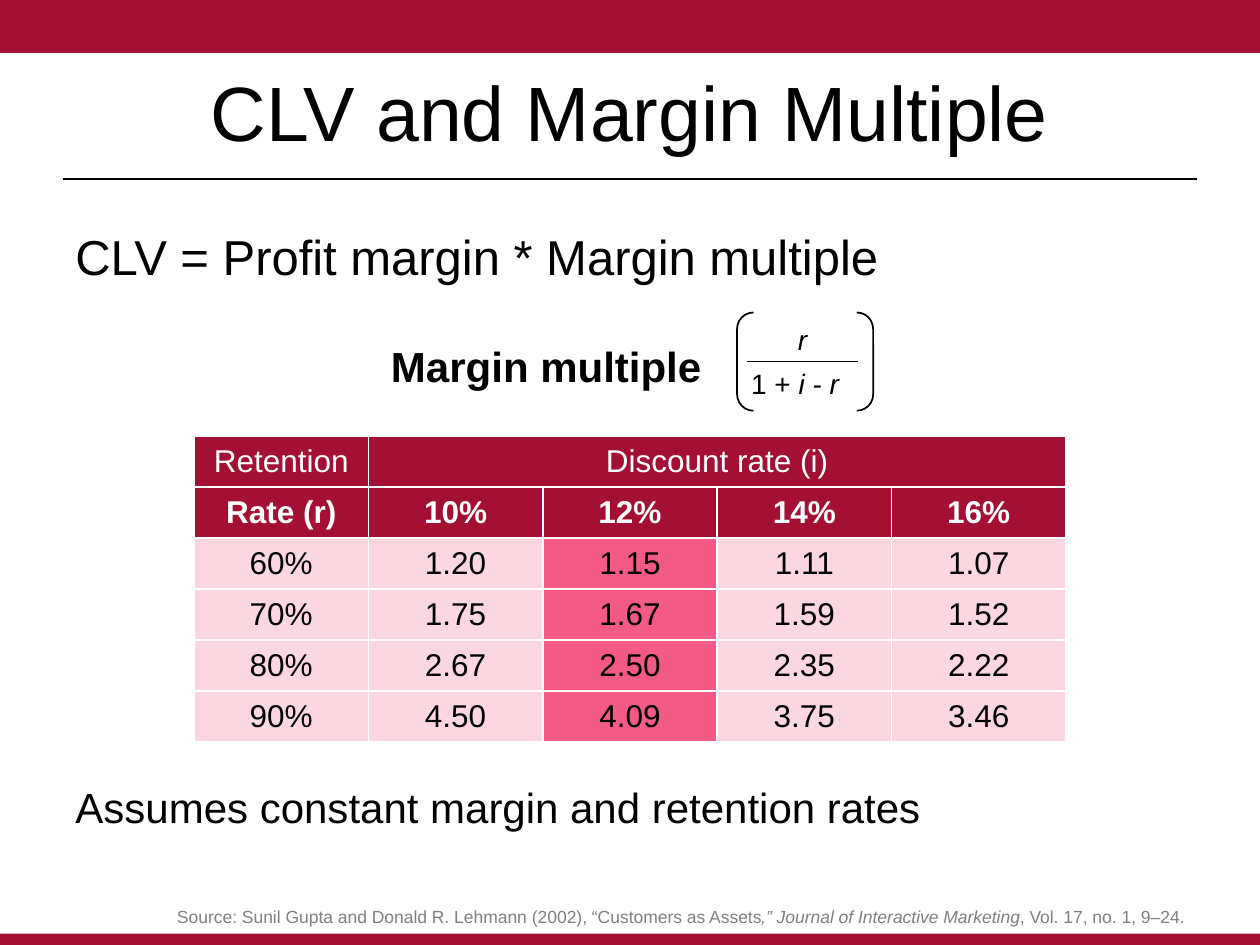
"""Builds the slide on customer lifetime value and its margin multiple."""
from lxml.etree import SubElement
from pptx import Presentation
from pptx.dml.color import RGBColor
from pptx.enum.shapes import MSO_CONNECTOR, MSO_SHAPE
from pptx.enum.text import MSO_ANCHOR as Anchor, PP_ALIGN as Align
from pptx.oxml.ns import qn
from pptx.util import Inches, Pt

CRIMSON, PALE, PINK = "A41034", "FCD7E2", "F35B86"
BLACK, WHITE, GRAY = "000000", "FFFFFF", "808080"
COLUMNS, ROWS = 100, 75

deck = Presentation()
deck.slide_width, deck.slide_height = Inches(10), Inches(7.5)
slide = deck.slides.add_slide(deck.slide_layouts[6])
shapes = slide.shapes


def grid(x, y, *size):
    """Turns pairs of grid columns and rows into lengths on the slide."""
    steps = (deck.slide_width / COLUMNS, deck.slide_height / ROWS)
    return [round(value * steps[i % 2]) for i, value in enumerate((x, y, *size))]


def write(paragraph, text, size=18, color=BLACK, bold=False, italic=False, align=Align.LEFT):
    """Adds one formatted run to a paragraph."""
    paragraph.alignment = align
    run = paragraph.add_run()
    run.text = text
    run.font.name, run.font.size = "Arial", Pt(size)
    run.font.bold, run.font.italic = bold, italic
    run.font.color.rgb = RGBColor.from_string(color)


for top, height in ((0, 4.2), (74.1, 0.9)):
    band = shapes.add_shape(MSO_SHAPE.RECTANGLE, *grid(0, top, COLUMNS, height))
    band.shadow.inherit = False
    band.fill.solid()
    band.fill.fore_color.rgb = RGBColor.from_string(CRIMSON)
    band.line.fill.background()

for left, right, level, weight in ((5, 95, 14.2, 1.25), (59.3, 68.1, 28.7, 1)):
    rule = shapes.add_connector(MSO_CONNECTOR.STRAIGHT, *grid(left, level, right, level))
    rule.line.color.rgb = RGBColor.from_string(BLACK)
    rule.line.width = Pt(weight)
    SubElement(rule.element.spPr, qn("a:effectLst"))

brackets = shapes.add_shape(MSO_SHAPE.DOUBLE_BRACKET, *grid(58.5, 24.8, 10.8, 7.8))
brackets.shadow.inherit = False
brackets.fill.background()
brackets.line.color.rgb = RGBColor.from_string(BLACK)
brackets.line.width = Pt(1)

citation = dict(size=10, color=GRAY, align=Align.RIGHT)
texts = [
    ((5, 2.5, 90, 12.5), Anchor.MIDDLE,
     [("CLV and Margin Multiple", dict(size=44, align=Align.CENTER))]),
    ((5, 17.5, 90, 6), Anchor.TOP,
     [("CLV = Profit margin * Margin multiple", dict(size=28))]),
    ((30, 26.5, 26.7, 4.3), Anchor.TOP,
     [("Margin multiple", dict(size=24, bold=True, align=Align.CENTER))]),
    ((5, 61.5, 70.8, 4.4), Anchor.TOP,
     [("Assumes constant margin and retention rates", dict(size=24))]),
    ((5, 71.1, 90, 3), Anchor.BOTTOM,
     [("Source: Sunil Gupta and Donald R. Lehmann (2002), “Customers as Assets", citation),
      (",” Journal of Interactive Marketing", dict(citation, italic=True)),
      (", Vol. 17, no. 1, 9–24.", citation)]),
]
for area, anchor, runs in texts:
    frame = shapes.add_textbox(*grid(*area)).text_frame
    frame.word_wrap = True
    frame.vertical_anchor = anchor
    for text, style in runs:
        write(frame.paragraphs[0], text, **style)

fraction = shapes.add_textbox(*grid(59.1, 25.1, 9.2, 6.6)).text_frame
fraction.word_wrap = True
fraction.margin_left = fraction.margin_right = 0
numerator, denominator = fraction.paragraphs[0], fraction.add_paragraph()
write(numerator, "r", size=16, italic=True, align=Align.CENTER)
write(denominator, "1 + ", size=16, align=Align.CENTER)
write(denominator, "i - r", size=16, italic=True, align=Align.CENTER)
denominator.space_before = Pt(6)
denominator._p.get_or_add_pPr().set("marR", str(Inches(0.12)))

multiples = [
    ["Retention", "Discount rate (i)", "", "", ""],
    ["Rate (r)", "10%", "12%", "14%", "16%"],
    ["60%", "1.20", "1.15", "1.11", "1.07"],
    ["70%", "1.75", "1.67", "1.59", "1.52"],
    ["80%", "2.67", "2.50", "2.35", "2.22"],
    ["90%", "4.50", "4.09", "3.75", "3.46"],
]
table = shapes.add_table(6, 5, *grid(15.4, 34.6, 69.2, 24.3)).table
table.cell(0, 1).merge(table.cell(0, 4))
for r, values in enumerate(multiples):
    for c, value in enumerate(values):
        cell = table.cell(r, c)
        cell.vertical_anchor = Anchor.MIDDLE
        if value:
            write(cell.text_frame.paragraphs[0], value, color=WHITE if r < 2 else BLACK,
                  bold=r == 1, align=Align.CENTER)
        properties = cell._tc.get_or_add_tcPr()
        for side in ("a:lnL", "a:lnR", "a:lnT", "a:lnB"):
            border = SubElement(properties, qn(side), w=str(Pt(1)))
            SubElement(SubElement(border, qn("a:solidFill")), qn("a:srgbClr"), val=WHITE)
        cell.fill.solid()
        shade = CRIMSON if r < 2 else PINK if c == 2 else PALE
        cell.fill.fore_color.rgb = RGBColor.from_string(shade)

deck.save("out.pptx")
